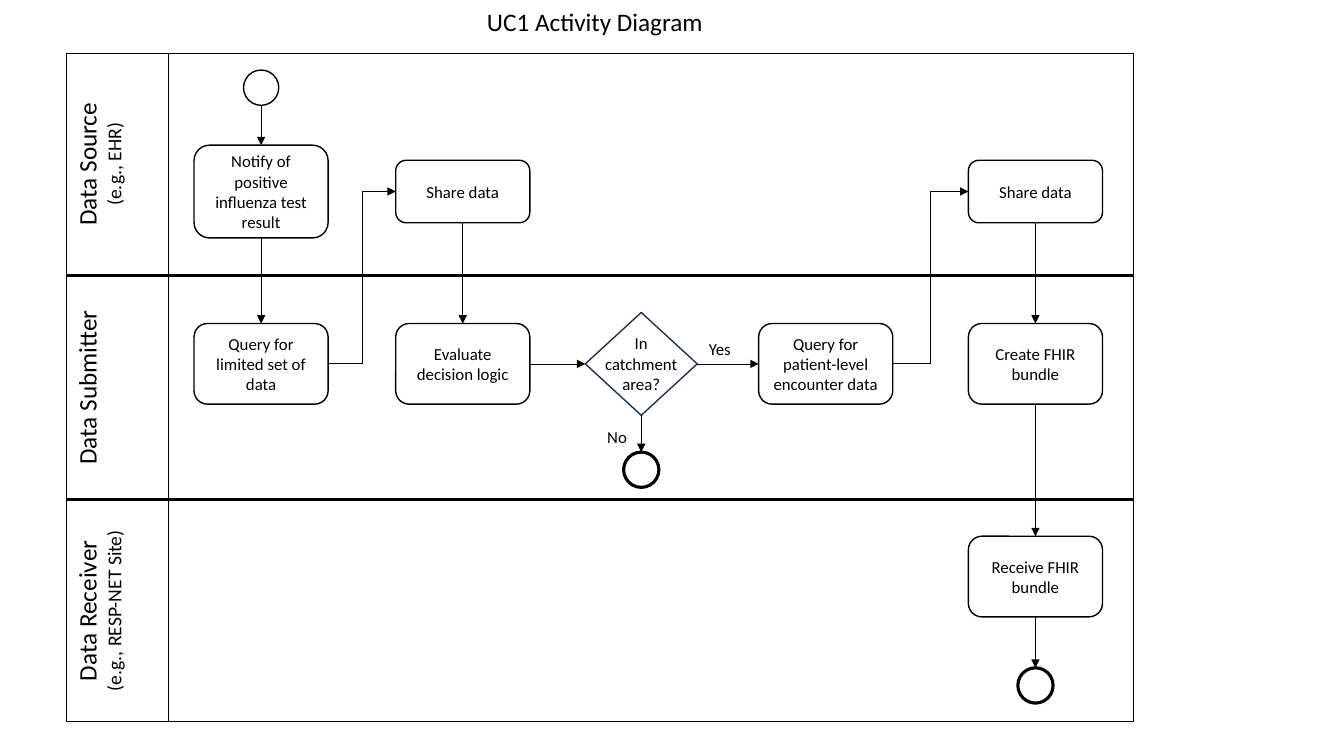
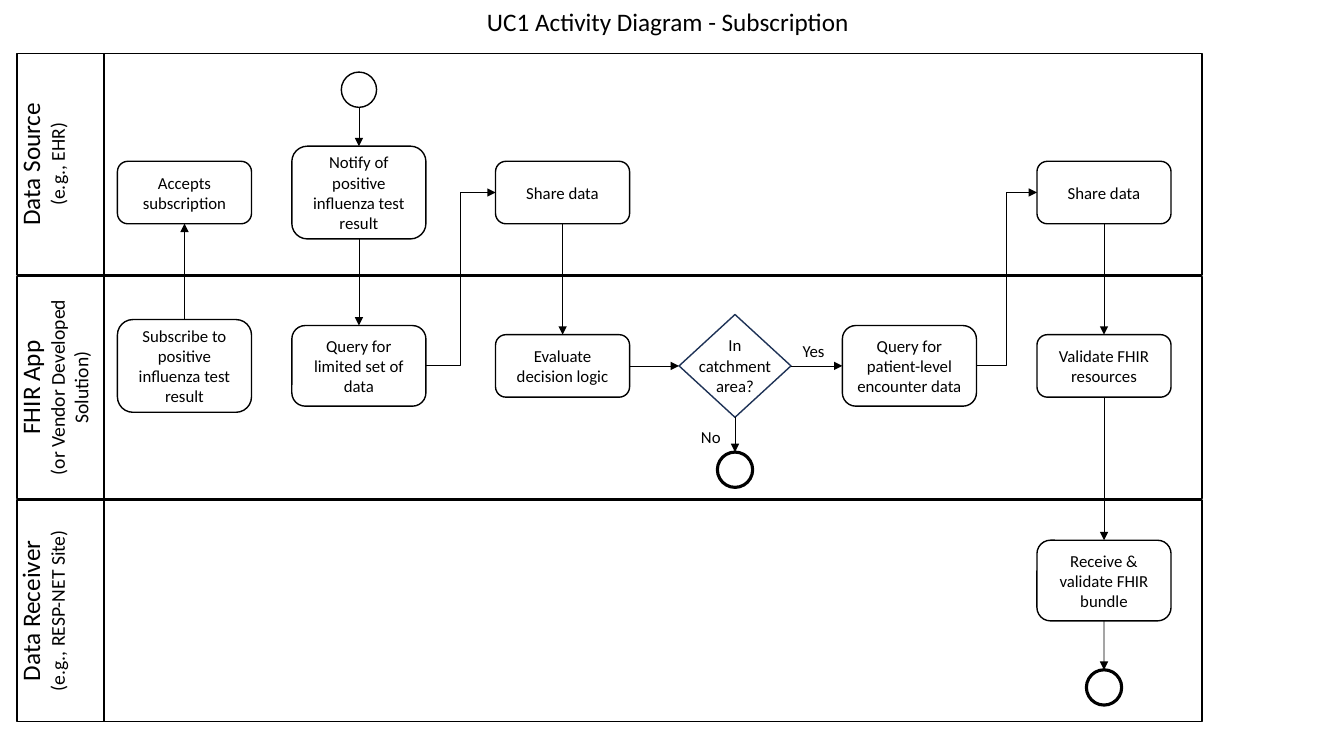
"""Build two swimlane activity diagrams for use case 1."""
from pptx import Presentation
from pptx.dml.color import RGBColor
from pptx.enum.shapes import MSO_CONNECTOR as CXN, MSO_SHAPE as SHP
from pptx.enum.text import MSO_ANCHOR, MSO_AUTO_SIZE, PP_ALIGN
from pptx.oxml import parse_xml
from pptx.oxml.ns import nsdecls
from pptx.util import Inches, Pt

BLACK = RGBColor(0x00, 0x00, 0x00)
WHITE = RGBColor(0xFF, 0xFF, 0xFF)
NAVY = RGBColor(0x1E, 0x32, 0x56)
FONT = "Calibri"
TITLE_PT, LANE_PT, NOTE_PT, BODY_PT = 18, 18, 14, 12

LANE_TOP, LANE_BOTTOM, LANE_H = 0.53, 7.16, 2.2
LANE_STEP = (LANE_BOTTOM - LANE_TOP - LANE_H) / 2
BOX_W, LOW, MID, TALL = 1.33, 0.62, 0.8, 0.92

KINDS = {
    "box": dict(shape=SHP.FLOWCHART_ALTERNATE_PROCESS, fill=WHITE, line=BLACK, pt=1),
    "start": dict(shape=SHP.FLOWCHART_CONNECTOR, fill=None, line=BLACK, pt=1),
    "end": dict(shape=SHP.FLOWCHART_CONNECTOR, fill=None, line=BLACK, pt=2.25),
    "decision": dict(shape=SHP.FLOWCHART_DECISION, fill=None, line=NAVY, pt=1),
}
SIZES = {"start": (0.35, 0.35), "end": (0.35, 0.35), "decision": (1.11, 1.02)}
TOP, LEFT, BOTTOM, RIGHT = range(4)

SHARED_NODES = {
    "start": ("start", "notify", "start", None, ""),
    "notify": ("box", "notify", "source", TALL, "Notify of positive influenza test result"),
    "limited": ("box", "notify", "submit", MID, "Query for limited set of data"),
    "share 1": ("box", "evaluate", "source", LOW, "Share data"),
    "decision": ("decision", "decision", "submit", None, ""),
    "stop": ("end", "decision", "stop", None, ""),
    "patient": ("box", "patient", "submit", MID, "Query for patient-level encounter data"),
    "share 2": ("box", "bundle", "source", LOW, "Share data"),
    "finish": ("end", "bundle", "finish", None, ""),
}
SHARED_LINKS = [
    ("start", BOTTOM, "notify", TOP),
    ("notify", BOTTOM, "limited", TOP),
    ("limited", RIGHT, "share 1", LEFT),
    ("share 1", BOTTOM, "evaluate", TOP),
    ("evaluate", RIGHT, "decision", LEFT),
    ("decision", RIGHT, "patient", LEFT),
    ("decision", BOTTOM, "stop", TOP),
    ("patient", RIGHT, "share 2", LEFT),
    ("share 2", BOTTOM, "bundle", TOP),
    ("bundle", BOTTOM, "receive", TOP),
    ("receive", BOTTOM, "finish", TOP),
]
SOURCE = ("Data Source", "(e.g., EHR)")
RECEIVER = ("Data Receiver", "(e.g., RESP-NET Site)")

DIAGRAMS = [
    dict(
        title="UC1 Activity Diagram",
        left=0.66, width=10.58, divider=1.67, label_left=0.66,
        lanes=[SOURCE, ("Data Submitter",), RECEIVER],
        cols=dict(notify=2.59, evaluate=4.59, decision=6.36, patient=8.19, bundle=10.27),
        rows=dict(start=0.87, source=1.9, submit=3.61, stop=4.66, receive=5.72, finish=6.8),
        nodes={
            "evaluate": ("box", "evaluate", "submit", MID, "Evaluate decision logic"),
            "bundle": ("box", "bundle", "submit", MID, "Create FHIR bundle"),
            "receive": ("box", "bundle", "receive", MID, "Receive FHIR bundle"),
        },
        links=[],
    ),
    dict(
        title="UC1 Activity Diagram - Subscription",
        left=0.17, width=11.75, divider=1.03, label_left=0.1,
        lanes=[SOURCE, ("FHIR App", "(or Vendor Developed Solution)"), RECEIVER],
        cols=dict(subscribe=1.83, notify=3.56, evaluate=5.58, decision=7.29,
                  patient=9.02, bundle=10.95),
        rows=dict(start=0.89, source=1.91, submit=3.63, stop=4.66, receive=5.76, finish=6.82),
        nodes={
            "evaluate": ("box", "evaluate", "submit", LOW, "Evaluate decision logic"),
            "bundle": ("box", "bundle", "submit", LOW, "Validate FHIR resources"),
            "receive": ("box", "bundle", "receive", MID, "Receive & validate FHIR bundle"),
            "accept": ("box", "subscribe", "source", LOW, "Accepts subscription"),
            "subscribe": ("box", "subscribe", "submit", TALL,
                          "Subscribe to positive influenza test result"),
        },
        links=[("subscribe", TOP, "accept", BOTTOM)],
    ),
]


def set_text(tf, lines, align=PP_ALIGN.CENTER, anchor=MSO_ANCHOR.TOP):
    """Write (text, size) lines, one paragraph each."""
    frame = dict(word_wrap=True, auto_size=MSO_AUTO_SIZE.NONE, vertical_anchor=anchor)
    for name, value in frame.items():
        setattr(tf, name, value)
    for i, (text, size) in enumerate(lines):
        p = tf.paragraphs[0] if i == 0 else tf.add_paragraph()
        p.alignment = align
        r = p.add_run()
        r.text = text
        for name, value in dict(name=FONT, size=Pt(size), bold=False).items():
            setattr(r.font, name, value)
        r.font.color.rgb = BLACK


def add_title(s, text):
    """Fill the title placeholder and move it to the top."""
    sp = s.shapes.title
    place = dict(left=4.73, top=0.01, width=4.47, height=0.4)
    for name, value in place.items():
        setattr(sp, name, Inches(value))
    set_text(sp.text_frame, [(text, TITLE_PT)], PP_ALIGN.LEFT)


def add_label(s, cx, cy, w, h, lines, vert=None):
    """Add a text box centred on a point."""
    sp = s.shapes.add_textbox(*map(Inches, (cx - w / 2, cy - h / 2, w, h)))
    set_text(sp.text_frame, lines)
    if vert:
        sp.text_frame._txBody.bodyPr.set("vert", vert)


def add_outline(s, shape, x, y, w, h, fill, line, pt):
    """Add a flat outlined shape."""
    sp = s.shapes.add_shape(shape, *map(Inches, (x, y, w, h)))
    sp.shadow.inherit = False
    if fill is None:
        sp.fill.background()
    else:
        sp.fill.solid()
        sp.fill.fore_color.rgb = fill
    sp.line.color.rgb = line
    sp.line.width = Pt(pt)
    return sp


def add_line(s, kind, ends, pt):
    """Add a black connector without a shadow."""
    line = s.shapes.add_connector(kind, *ends)
    line.line.color.rgb = BLACK
    line.line.width = Pt(pt)
    line._element.spPr.append(parse_xml(f"<a:effectLst {nsdecls('a')}/>"))
    return line


def site(sp, side):
    """Return the point in the middle of one side of a shape."""
    cx, cy = sp.left + sp.width // 2, sp.top + sp.height // 2
    return {TOP: (cx, sp.top), LEFT: (sp.left, cy),
            BOTTOM: (cx, sp.top + sp.height), RIGHT: (sp.left + sp.width, cy)}[side]


def add_arrow(s, source, out_side, target, in_side):
    """Link two shapes with an arrow, bent when their rows differ."""
    begin, end = site(source, out_side), site(target, in_side)
    bent = out_side == RIGHT and begin[1] - end[1] > Inches(0.1)
    arrow = add_line(s, CXN.ELBOW if bent else CXN.STRAIGHT, begin + end, 0.5)
    if source.auto_shape_type != SHP.FLOWCHART_CONNECTOR:
        arrow.begin_connect(source, out_side)
    arrow.end_connect(target, in_side)
    arrow.line._get_or_add_ln().append(
        parse_xml(f'<a:tailEnd type="triangle" {nsdecls("a")}/>'))


def add_lanes(s, d):
    """Draw the lanes, their divider and their rotated names."""
    tops = [LANE_TOP + i * LANE_STEP for i in range(len(d["lanes"]))]
    for top in reversed(tops):
        add_outline(s, SHP.RECTANGLE, d["left"], top, d["width"], LANE_H, WHITE, BLACK, 1)
    x = Inches(d["divider"])
    add_line(s, CXN.STRAIGHT, (x, Inches(LANE_TOP), x, Inches(LANE_BOTTOM)), 1)
    for top, (name, *notes) in zip(tops, d["lanes"]):
        lines = [(name, LANE_PT)] + [(note, NOTE_PT) for note in notes]
        add_label(s, d["label_left"] + 0.5, top + LANE_H / 2, 1, 2, lines, "vert270")


def add_flow(s, d):
    """Draw the steps, arrows and decision labels."""
    cols, rows, placed = d["cols"], d["rows"], {}
    for key, (kind, col, row, height, text) in (SHARED_NODES | d["nodes"]).items():
        w, h = SIZES.get(kind, (BOX_W, height))
        sp = add_outline(s, x=cols[col] - w / 2, y=rows[row] - h / 2, w=w, h=h, **KINDS[kind])
        if text:
            set_text(sp.text_frame, [(text, BODY_PT)], anchor=MSO_ANCHOR.MIDDLE)
        placed[key] = sp
    for source, out_side, target, in_side in SHARED_LINKS + d["links"]:
        add_arrow(s, placed[source], out_side, placed[target], in_side)
    cx, cy = cols["decision"], rows["submit"]
    for text, x, y, h in [("In catchment area?", cx, cy, 0.71),
                          ("Yes", cx + 0.78, cy - 0.15, 0.3),
                          ("No", cx - 0.24, rows["stop"] - 0.33, 0.3)]:
        add_label(s, x, y, 1.02, h, [(text, BODY_PT)])


def main():
    """Build and save the slides."""
    prs = Presentation()
    prs.slide_width, prs.slide_height = Inches(13.33), Inches(7.5)
    for d in DIAGRAMS:
        s = prs.slides.add_slide(prs.slide_layouts[5])
        add_title(s, d["title"])
        add_lanes(s, d)
        add_flow(s, d)
    prs.save("out.pptx")


if __name__ == "__main__":
    main()
